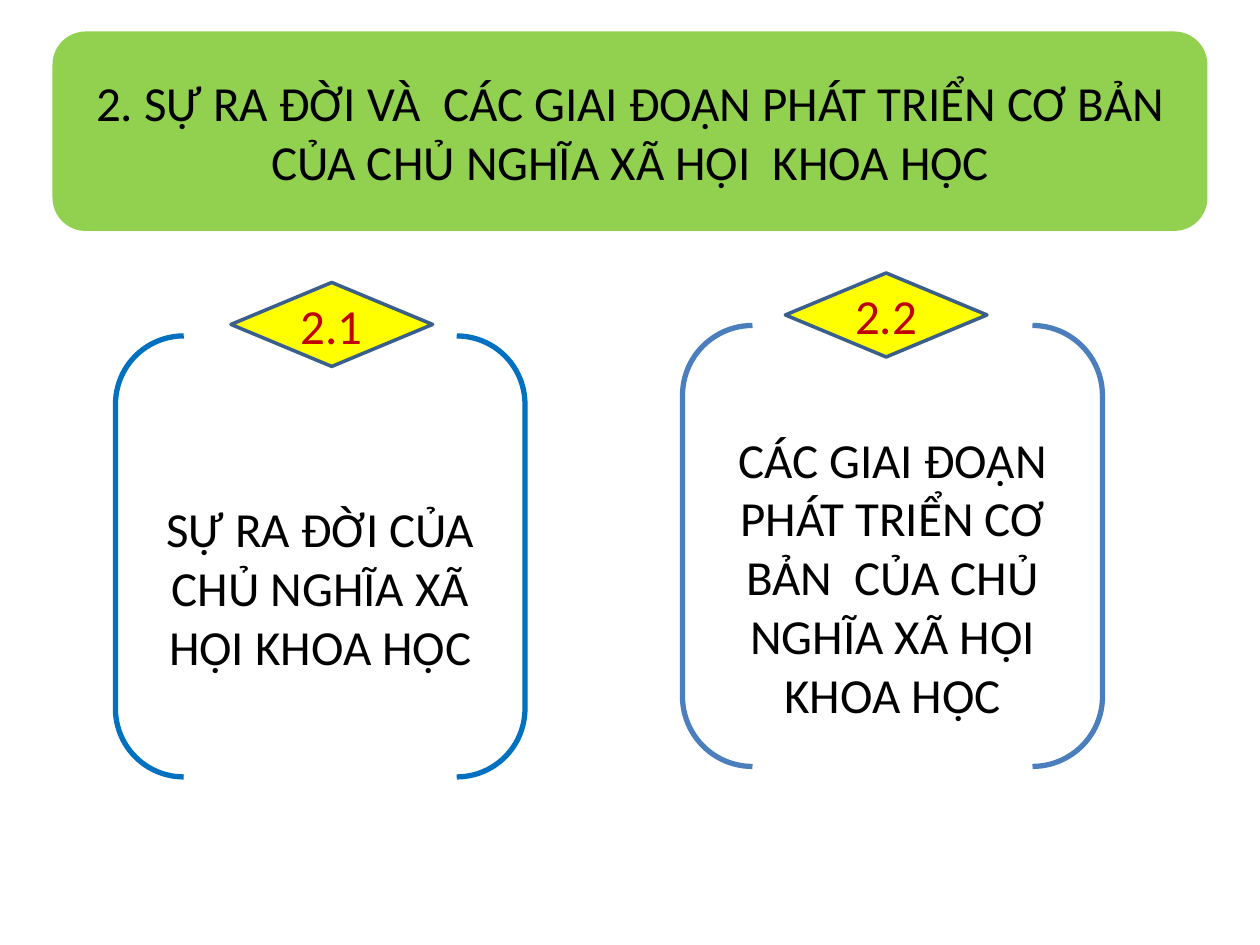
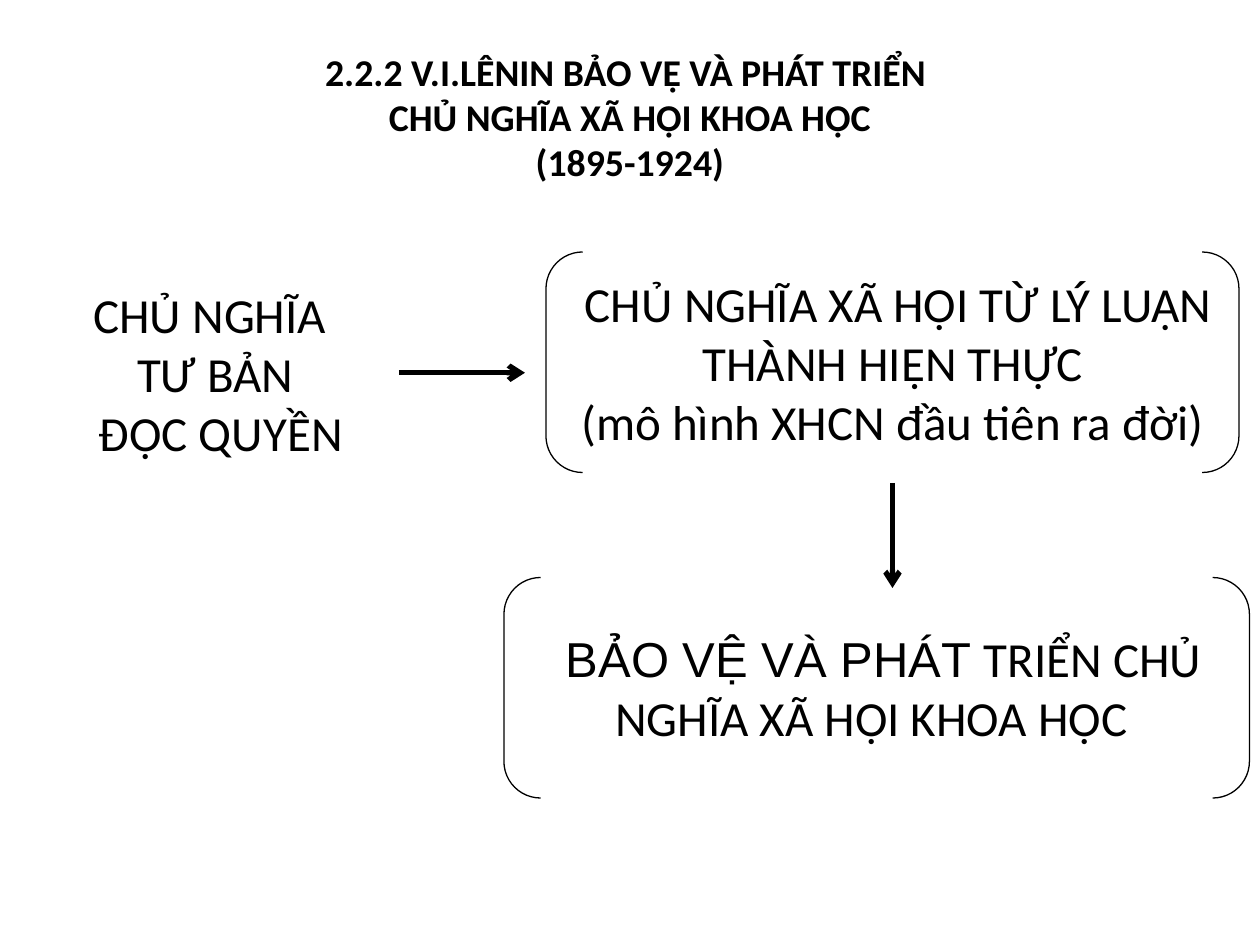
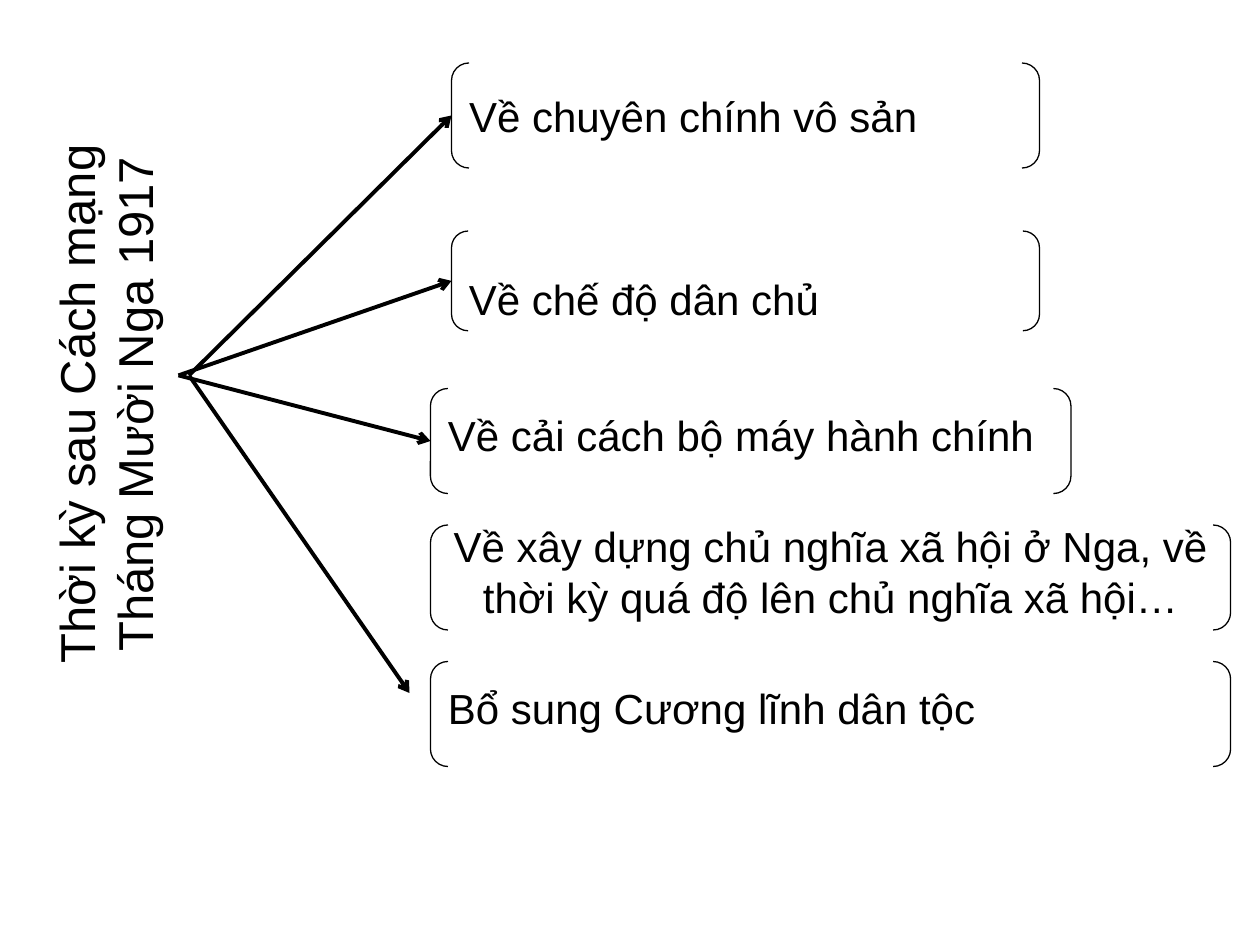
from lxml import etree
from pptx import Presentation
from pptx.dml.color import RGBColor
from pptx.enum.shapes import MSO_CONNECTOR, MSO_SHAPE
from pptx.enum.text import MSO_ANCHOR, PP_ALIGN as ALIGN
from pptx.oxml.ns import qn
from pptx.util import Inches, Pt

COLUMNS, ROWS = 120, 90
SLIDE_WIDTH, SLIDE_HEIGHT = Inches(10), Inches(7.5)
BLACK, GREEN, YELLOW, RED = "000000", "92D050", "FFFF00", "C00000"
BLUE, STEEL, NAVY = "0070C0", "4B7EBC", "3A5F8C"
LEFT, RIGHT = 1, 3
THIN = (BLACK, 0.75)
INSET = Inches(0.05)


def rgb(color):
    return RGBColor.from_string(color)


def across(columns):
    return round(SLIDE_WIDTH * columns / COLUMNS)


def down(rows):
    return round(SLIDE_HEIGHT * rows / ROWS)


def paint(shape, fill, line):
    shape.shadow.inherit = False
    if fill:
        shape.fill.solid()
        shape.fill.fore_color.rgb = rgb(fill)
    else:
        shape.fill.background()
    if line:
        color, width = line
        shape.line.color.rgb = rgb(color)
        shape.line.width = Pt(width)
    else:
        shape.line.fill.background()


def write_run(paragraph, text, font, size, color, bold):
    for number, row in enumerate(text.split("\n")):
        if number:
            paragraph.add_line_break()
        run = paragraph.add_run()
        run.text = row
        for key, value in {"name": font, "size": Pt(size), "bold": bold}.items():
            setattr(run.font, key, value)
        run.font.color.rgb = rgb(color)


def write(frame, paragraphs, font="Calibri", size=28, color=BLACK, bold=False,
          align=ALIGN.CENTER, lower=0):
    """Write centred text, moved down by `lower` inches (up if negative).

    A paragraph is a string, or a list of (text, font) pairs.
    """
    settings = {
        "word_wrap": True,
        "vertical_anchor": MSO_ANCHOR.MIDDLE,
        "margin_top": INSET + Inches(2 * max(lower, 0)),
        "margin_bottom": INSET + Inches(2 * max(-lower, 0)),
    }
    for key, value in settings.items():
        setattr(frame, key, value)
    for number, content in enumerate(paragraphs):
        paragraph = frame.add_paragraph() if number else frame.paragraphs[0]
        paragraph.alignment = align
        pairs = [(content, font)] if isinstance(content, str) else content
        for text, face in pairs:
            write_run(paragraph, text, face, size, color, bold)


def add_panel(slide, area, *paragraphs, kind=MSO_SHAPE.DOUBLE_BRACKET,
              fill=None, line=None, **style):
    """Add a text shape; area is left column, top row, columns and rows."""
    left, top, width, height = area
    panel = slide.shapes.add_shape(
        kind, across(left), down(top), across(width), down(height))
    paint(panel, fill, line)
    write(panel.text_frame, paragraphs, **style)
    return panel


def add_arrow(slide, start, end, width, source=None, target=None):
    """Draw an arrow, joined to the source's right and the target's left side."""
    arrow = slide.shapes.add_connector(
        MSO_CONNECTOR.STRAIGHT, across(start[0]), down(start[1]),
        across(end[0]), down(end[1]))
    arrow.line.color.rgb = rgb(BLACK)
    arrow.line.width = Pt(width)
    if source:
        arrow.begin_connect(source, RIGHT)
    if target:
        arrow.end_connect(target, LEFT)
    outline = arrow.line._get_or_add_ln()
    etree.SubElement(outline, qn("a:tailEnd"), type="arrow")
    etree.SubElement(arrow._element.spPr, qn("a:effectLst"))


def build_overview(slide):
    add_panel(slide, (5, 3, 110, 19),
              "2. SỰ RA ĐỜI VÀ  CÁC GIAI ĐOẠN PHÁT TRIỂN CƠ BẢN "
              "CỦA CHỦ NGHĨA XÃ HỘI  KHOA HỌC", fill=GREEN)
    sections = [
        ("2.1", (22, 26.9), (11, 32, 39, 42), BLUE,
         "SỰ RA ĐỜI CỦA CHỦ NGHĨA XÃ HỘI KHOA HỌC"),
        ("2.2", (74.8, 26), (65, 31, 40, 42), STEEL,
         "CÁC GIAI ĐOẠN PHÁT TRIỂN CƠ BẢN  CỦA CHỦ NGHĨA XÃ HỘI KHOA HỌC"),
    ]
    for number, corner, area, color, heading in sections:
        add_panel(slide, area, heading, line=(color, 3), lower=0.24)
        add_panel(slide, (*corner, 19.2, 8), number, color=RED,
                  kind=MSO_SHAPE.FLOWCHART_DECISION, fill=YELLOW, line=(NAVY, 2))


def build_lenin(slide):
    add_panel(slide, (6, 3.6, 108, 15),
              "2.2.2 V.I.LÊNIN BẢO VỆ VÀ PHÁT TRIỂN \n"
              "CHỦ NGHĨA XÃ HỘI KHOA HỌC\n(1895-1924)", size=21.6, bold=True)
    add_panel(slide, (52, 24, 66, 21),
              " CHỦ NGHĨA XÃ HỘI TỪ LÝ LUẬN THÀNH HIỆN THỰC",
              "(mô hình XHCN đầu tiên ra đời)", line=THIN)
    monopoly = add_panel(slide, (3, 24, 35, 23),
                         "CHỦ NGHĨA ", "TƯ BẢN", " ĐỘC QUYỀN")
    add_panel(slide, (48, 55, 71, 21),
              [(" BẢO VỆ VÀ PHÁT ", "Arial"),
               ("TRIỂN CHỦ NGHĨA XÃ HỘI KHOA HỌC ", "Calibri")], line=THIN)
    add_arrow(slide, (38, 35.5), (50, 35.5), 3, source=monopoly)
    add_arrow(slide, (85, 46), (85, 56), 3)


def build_after_revolution(slide):
    add_panel(slide, (2, 5, 16, 67), "Thời kỳ sau Cách mạng Tháng Mười Nga 1917",
              font="Arial").text_frame._txBody.bodyPr.set("vert", "vert270")
    topics = [
        ("Về chuyên chính vô sản", (43, 6, 56, 10), ALIGN.JUSTIFY, 0),
        ("Về chế độ dân chủ", (43, 22, 56, 9.5), ALIGN.LEFT, 0.14),
        ("Về cải cách bộ máy hành chính", (41, 37, 61, 10), ALIGN.LEFT, -0.05),
        ("Về xây dựng chủ nghĩa xã hội ở Nga, về thời kỳ quá độ lên "
         "chủ nghĩa xã hội…", (41, 50, 76.2, 10), ALIGN.CENTER, -0.05),
        ("Bổ sung Cương lĩnh dân tộc", (41, 63, 76.2, 10), ALIGN.LEFT, -0.05),
    ]
    panels = [add_panel(slide, area, topic, line=THIN, font="Arial", size=24,
                        align=align, lower=lower)
              for topic, area, align, lower in topics]
    arrows = [(18, (43, 11), panels[0]), (17, (43, 26.75), panels[1]),
              (17, (41, 42), panels[2]), (18, (39, 66), None)]
    for column, end, target in arrows:
        add_arrow(slide, (column, 35.75), end, 2.25, target=target)


def main():
    deck = Presentation()
    deck.slide_width, deck.slide_height = SLIDE_WIDTH, SLIDE_HEIGHT
    for build in (build_overview, build_lenin, build_after_revolution):
        build(deck.slides.add_slide(deck.slide_layouts[6]))
    deck.save("out.pptx")


if __name__ == "__main__":
    main()
